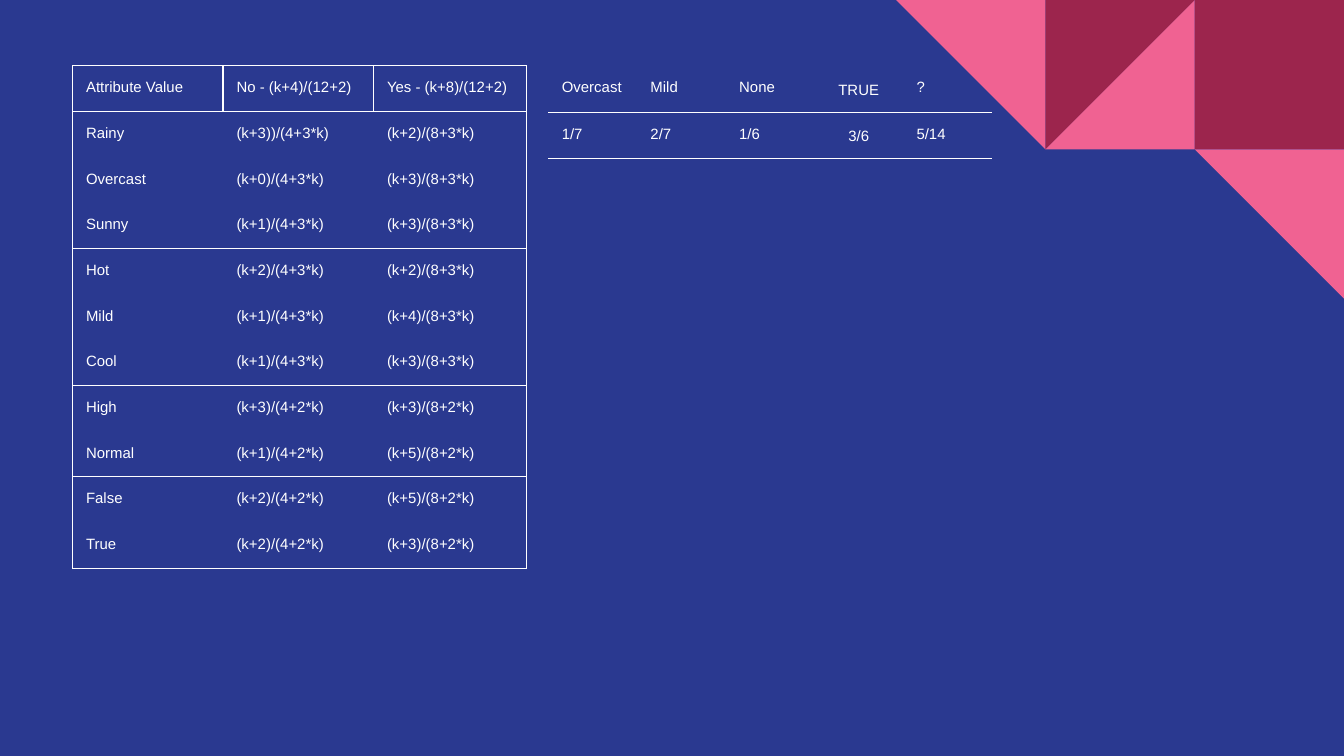
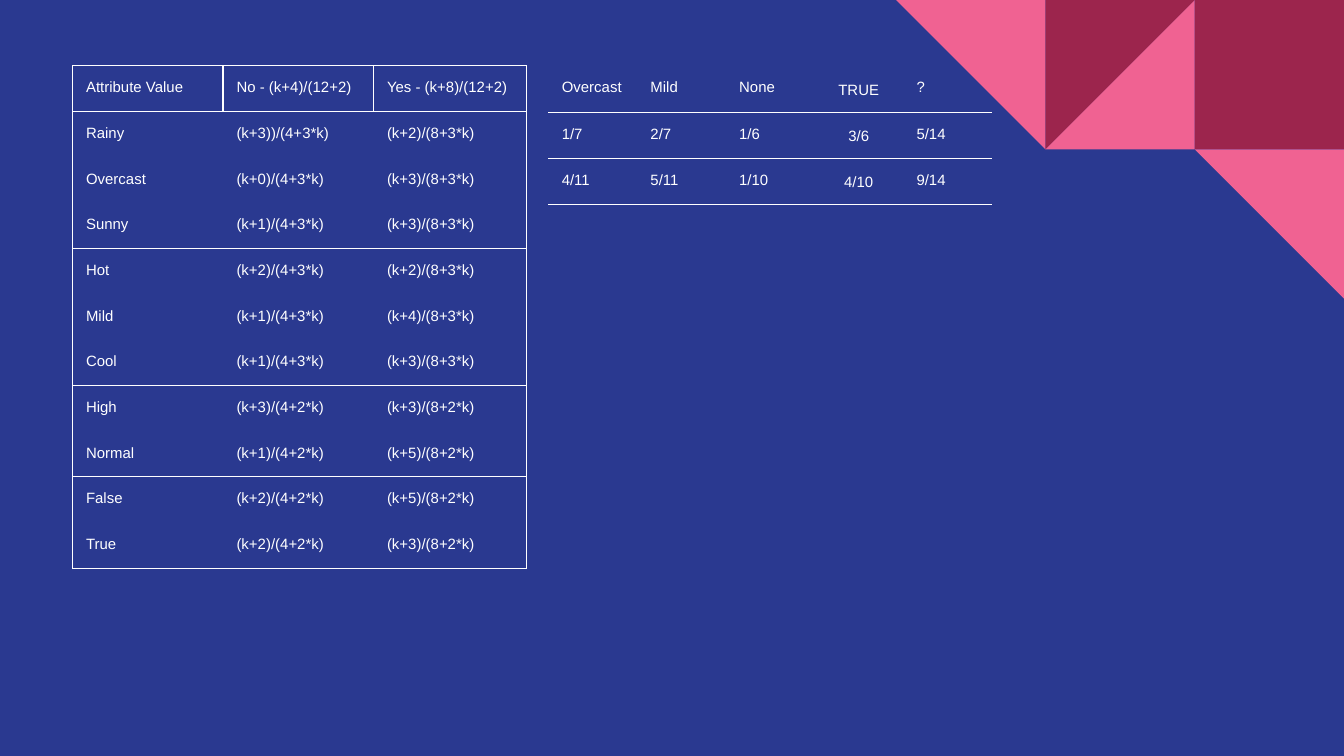
import dataclasses

import pptx
import pptx.dml.color
import pptx.enum.shapes
import pptx.enum.text
import pptx.oxml
import pptx.oxml.ns
import pptx.presentation
import pptx.slide
import pptx.table
import pptx.util

NAVY = pptx.dml.color.RGBColor(0x2A, 0x39, 0x90)
MAROON = pptx.dml.color.RGBColor(0x9C, 0x25, 0x4D)
PINK = pptx.dml.color.RGBColor(0xF0, 0x62, 0x92)
WHITE = pptx.dml.color.RGBColor(0xFF, 0xFF, 0xFF)

SLIDE_WIDTH = pptx.util.Inches(10)
SLIDE_HEIGHT = SLIDE_WIDTH * 9 // 16
TILE = SLIDE_WIDTH // 9
TABLE_TOP = pptx.util.Inches(0.49)
ROW_HEIGHT = pptx.util.Inches(0.34)
CELL_INSET = pptx.util.Inches(0.1)
RULE_WIDTH = pptx.util.Pt(0.75)
NO_GRID_STYLE = "{2D5ABB26-0587-4C30-8999-92F81FD0307C}"

SQUARE = pptx.enum.shapes.MSO_SHAPE.RECTANGLE
TRIANGLE = pptx.enum.shapes.MSO_SHAPE.RIGHT_TRIANGLE


@dataclasses.dataclass(frozen=True)
class Tile:
    column: int
    row: int
    outline: pptx.enum.shapes.MSO_SHAPE
    colour: pptx.dml.color.RGBColor
    rotation: int = 0
    mirrored: bool = False


@dataclasses.dataclass(frozen=True)
class Grid:
    left: float
    column_widths: tuple[float, ...]
    rows: tuple[tuple[str, ...], ...]
    ruled_rows: frozenset[int]
    boxed: bool = False
    centred_column: int | None = None


CORNER_TILES = (
    Tile(8, 0, SQUARE, MAROON),
    Tile(7, 0, TRIANGLE, PINK, mirrored=True),
    Tile(7, 0, TRIANGLE, MAROON, rotation=180, mirrored=True),
    Tile(6, 0, TRIANGLE, PINK, rotation=180),
    Tile(8, 1, TRIANGLE, PINK, rotation=180),
)

LIKELIHOODS = Grid(
    left=0.54,
    column_widths=(1.12, 1.12, 1.14),
    rows=(
        ("Attribute Value", "No - (k+4)/(12+2)", "Yes - (k+8)/(12+2)"),
        ("Rainy", "(k+3))/(4+3*k)", "(k+2)/(8+3*k)"),
        ("Overcast", "(k+0)/(4+3*k)", "(k+3)/(8+3*k)"),
        ("Sunny", "(k+1)/(4+3*k)", "(k+3)/(8+3*k)"),
        ("Hot", "(k+2)/(4+3*k)", "(k+2)/(8+3*k)"),
        ("Mild", "(k+1)/(4+3*k)", "(k+4)/(8+3*k)"),
        ("Cool", "(k+1)/(4+3*k)", "(k+3)/(8+3*k)"),
        ("High", "(k+3)/(4+2*k)", "(k+3)/(8+2*k)"),
        ("Normal", "(k+1)/(4+2*k)", "(k+5)/(8+2*k)"),
        ("False", "(k+2)/(4+2*k)", "(k+5)/(8+2*k)"),
        ("True", "(k+2)/(4+2*k)", "(k+3)/(8+2*k)"),
    ),
    ruled_rows=frozenset({0, 1, 4, 7, 9, 11}),
    boxed=True,
)

OBSERVATION = ("Overcast", "Mild", "None", "TRUE", "?")
NO_ODDS = ("1/7", "2/7", "1/6", "3/6", "5/14")
YES_ODDS = ("4/11", "5/11", "1/10", "4/10", "9/14")


def prediction(*odds: tuple[str, ...]) -> Grid:
    """Describe the observed values with the given rows of odds below them."""
    return Grid(
        left=4.08,
        column_widths=(0.66,) * len(OBSERVATION),
        rows=(OBSERVATION, *odds),
        ruled_rows=frozenset(range(1, len(odds) + 2)),
        centred_column=OBSERVATION.index("TRUE"),
    )


def decorate_master(deck: pptx.presentation.Presentation, slide: pptx.slide.Slide) -> None:
    """Give the master its background and the corner mosaic, drawn via a slide."""
    master = deck.slide_master
    master.background.fill.solid()
    master.background.fill.fore_color.rgb = NAVY
    mosaic = slide.shapes.add_group_shape()
    for tile in CORNER_TILES:
        piece = mosaic.shapes.add_shape(
            tile.outline, tile.column * TILE, tile.row * TILE, TILE, TILE
        )
        piece.shadow.inherit = False
        piece.fill.solid()
        piece.fill.fore_color.rgb = tile.colour
        piece.line.fill.background()
        piece.rotation = tile.rotation
        if tile.mirrored:
            piece.element.spPr.get_or_add_xfrm().set("flipH", "1")
    for number, properties in enumerate(mosaic.element.xpath(".//p:cNvPr"), start=100):
        properties.set("id", str(number))
    master.shapes.element.append(mosaic.element)


def rule_cell(cell: pptx.table._Cell, edges: dict[str, bool]) -> None:
    """Draw a white rule on each chosen edge and clear the others."""
    properties = cell._tc.get_or_add_tcPr()
    for position, (edge, ruled) in enumerate(edges.items()):
        paint = f'<a:solidFill><a:srgbClr val="{WHITE}"/></a:solidFill>' if ruled else "<a:noFill/>"
        rule = pptx.oxml.parse_xml(
            f'<a:{edge} {pptx.oxml.ns.nsdecls("a")} w="{RULE_WIDTH}">{paint}</a:{edge}>'
        )
        properties.insert(position, rule)


def write_cell(cell: pptx.table._Cell, words: str, centred: bool) -> None:
    """Fill a transparent cell with small white text."""
    cell.fill.background()
    cell.margin_left = cell.margin_right = CELL_INSET
    cell.margin_top = cell.margin_bottom = CELL_INSET
    cell.text = words
    paragraph = cell.text_frame.paragraphs[0]
    paragraph.font.name = "Arial"
    paragraph.font.size = pptx.util.Pt(8)
    paragraph.font.color.rgb = WHITE
    if centred:
        paragraph.alignment = pptx.enum.text.PP_ALIGN.CENTER
        paragraph.line_spacing = 1.15


def draw_grid(slide: pptx.slide.Slide, grid: Grid) -> None:
    """Draw a table with its rules."""
    last = len(grid.column_widths) - 1
    frame = slide.shapes.add_table(
        len(grid.rows),
        len(grid.column_widths),
        pptx.util.Inches(grid.left),
        TABLE_TOP,
        pptx.util.Inches(sum(grid.column_widths)),
        ROW_HEIGHT * len(grid.rows),
    )
    table = frame.table
    table.first_row = table.horz_banding = False
    for style in frame.element.iter(pptx.oxml.ns.qn("a:tableStyleId")):
        style.text = NO_GRID_STYLE
    for column, width in zip(table.columns, grid.column_widths):
        column.width = pptx.util.Inches(width)
    for r, entries in enumerate(grid.rows):
        table.rows[r].height = ROW_HEIGHT
        for c, words in enumerate(entries):
            cell = table.cell(r, c)
            write_cell(cell, words, c == grid.centred_column)
            rule_cell(cell, {
                "lnL": grid.boxed and (r == 0 or c == 0),
                "lnR": grid.boxed and (r == 0 or c == last),
                "lnT": r in grid.ruled_rows,
                "lnB": r + 1 in grid.ruled_rows,
            })


def main() -> None:
    """Build the two slides and save them."""
    deck = pptx.Presentation()
    deck.slide_width, deck.slide_height = SLIDE_WIDTH, SLIDE_HEIGHT
    blank = deck.slide_layouts.get_by_name("Blank")
    predictions = (prediction(NO_ODDS), prediction(NO_ODDS, YES_ODDS))
    for step, odds in enumerate(predictions):
        slide = deck.slides.add_slide(blank)
        if step == 0:
            decorate_master(deck, slide)
        draw_grid(slide, LIKELIHOODS)
        draw_grid(slide, odds)
    deck.save("out.pptx")


if __name__ == "__main__":
    main()
